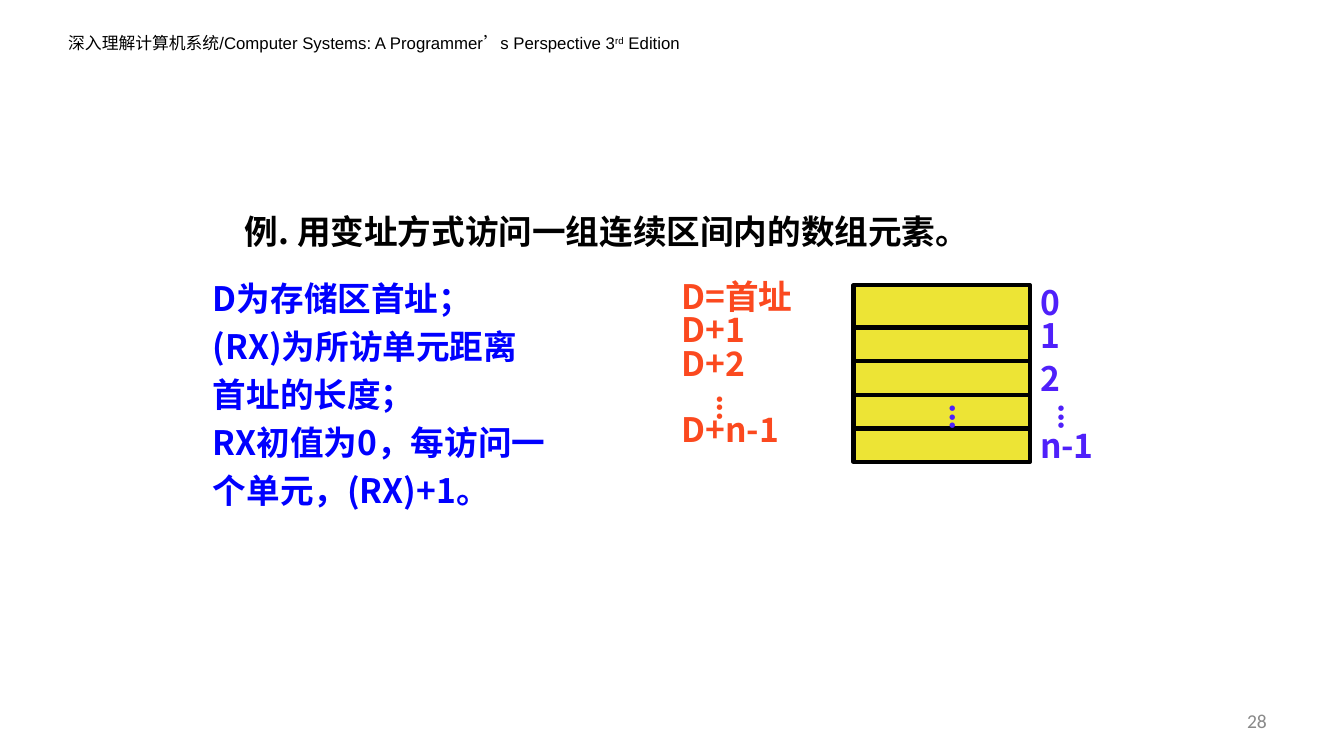
"""Build the slide on indexed addressing of an array."""
from dataclasses import dataclass

from lxml import etree
from pptx import Presentation
from pptx.dml.color import RGBColor
from pptx.enum.shapes import MSO_CONNECTOR, MSO_SHAPE
from pptx.enum.text import MSO_ANCHOR, MSO_AUTO_SIZE, PP_ALIGN
from pptx.oxml.ns import qn
from pptx.util import Cm, Pt

LEFT, RIGHT = PP_ALIGN.LEFT, PP_ALIGN.RIGHT
TOP, MIDDLE = MSO_ANCHOR.TOP, MSO_ANCHOR.MIDDLE
NO_FIT = MSO_AUTO_SIZE.NONE
RECT, LINE = MSO_SHAPE.RECTANGLE, MSO_CONNECTOR.STRAIGHT

HEADER = ("深入理解计算机系统/Computer Systems: A Programmer’s Perspective 3", "rd", " Edition")
TITLE = "例. 用变址方式访问一组连续区间内的数组元素。"
NOTES = ["D为存储区首址；", "(RX)为所访单元距离", "首址的长度；", "RX初值为0，每访问一", "个单元，(RX)+1。"]
PAGE = "28"
CELLS = {0: "D=首址", 1: "D+1", 2: "D+2", 4: "D+n-1"}
INDEX = {"0": 6.99, "1": 7.82, "2": 8.89, "n-1": 10.59}
DOTS = "..."


@dataclass(frozen=True)
class Theme:
    """Hold the colours, fonts and type sizes."""
    black: str = "000000"
    grey: str = "898989"
    blue: str = "0000FF"
    red: str = "FB491F"
    violet: str = "4F20FA"
    yellow: str = "EDE435"
    cjk: str = "Noto Sans CJK SC"
    serif: str = "Times New Roman"
    sans: str = "Arial"
    plain: str = "Calibri"
    large: int = 24
    medium: int = 14
    small: int = 12
    rule: int = 3


theme = Theme()


def write(box, lines, color=theme.black, size=theme.large, font=theme.cjk, bold=True,
          align=LEFT, anchor=TOP, space=None, vert=None):
    """Write lines into a box; every second run of a tuple is superscript."""
    frame = box.text_frame
    frame.word_wrap, frame.auto_size = True, NO_FIT
    frame.vertical_anchor = anchor
    if vert:
        frame._txBody.bodyPr.set("vert", vert)
    for row, line in enumerate(lines):
        para = frame.add_paragraph() if row else frame.paragraphs[0]
        props = para._p.get_or_add_pPr()
        props.set("marL", "0")
        props.set("indent", "0")
        etree.SubElement(props, qn("a:buNone"))
        para.alignment, para.space_before = align, Pt(0)
        if space:
            para.line_spacing = space
        for part, text in enumerate(line if isinstance(line, tuple) else (line,)):
            run = para.add_run()
            run.text = text
            run.font.size, run.font.bold = Pt(size), bold
            run.font.color.rgb = RGBColor.from_string(color)
            run.font.name = font
            mark = run._r.get_or_add_rPr()
            if font == theme.cjk:
                etree.SubElement(mark, qn("a:ea")).set("typeface", font)
            if part % 2:
                mark.set("baseline", "30000")


def place(shape, left, top, width, height):
    """Move and size a shape in centimetres."""
    shape.left, shape.top = Cm(left), Cm(top)
    shape.width, shape.height = Cm(width), Cm(height)
    return shape


def label(slide, area, text, **style):
    """Add a text box with one line."""
    box = slide.shapes.add_textbox(*(Cm(side) for side in area))
    write(box, [text], **style)


def store(slide, left, top, side):
    """Draw the storage block and the rules between its cells."""
    block = slide.shapes.add_shape(RECT, Cm(left), Cm(top), Cm(side), Cm(side))
    block.shadow.inherit = False
    block.fill.solid()
    block.fill.fore_color.rgb = RGBColor.from_string(theme.yellow)
    rules = [slide.shapes.add_connector(LINE, Cm(left), Cm(y), Cm(left + side), Cm(y))
             for y in (top + 1.06 + 0.85 * row for row in range(4))]
    for rule in rules:
        etree.SubElement(rule._element.spPr, qn("a:effectLst"))
    for shape in [block, *rules]:
        shape.line.color.rgb = RGBColor.from_string(theme.black)
        shape.line.width = Pt(theme.rule)


def main():
    """Lay out the slide and save it."""
    deck = Presentation()
    deck.slide_width, deck.slide_height = Cm(33.87), Cm(19.05)
    slide = deck.slides.add_slide(deck.slide_layouts[1])
    title, body = slide.placeholders
    write(place(title, 5.92, 5.18, 22.83, 2.54), [TITLE])
    write(place(body, 5.11, 6.69, 11.18, 6.3), NOTES, color=theme.blue, space=Pt(34.3))
    label(slide, (1.47, 0.71, 15.95, 0.76), HEADER, size=theme.small, font=theme.sans, bold=False)
    label(slide, (24.28, 17.65, 7.9, 1.02), PAGE, color=theme.grey, size=theme.medium,
          font=theme.plain, bold=False, align=RIGHT, anchor=MIDDLE)
    top = 7.19
    store(slide, 21.51, top, 4.45)
    for row, text in CELLS.items():
        label(slide, (16.92, top + 0.84 * row, 4.24, 0.86), text, color=theme.red, space=0.6)
    for text, y in INDEX.items():
        label(slide, (25.96, y, 2.11, 1.27), text, color=theme.violet)
    for left, y, color in [(17.5, 9.71, theme.red), (23.37, 9.95, theme.violet),
                           (26.11, 9.95, theme.violet)]:
        label(slide, (left, y, 1.55, 1.5), DOTS, color=color, font=theme.serif, vert="eaVert")
    deck.save("out.pptx")


if __name__ == "__main__":
    main()
